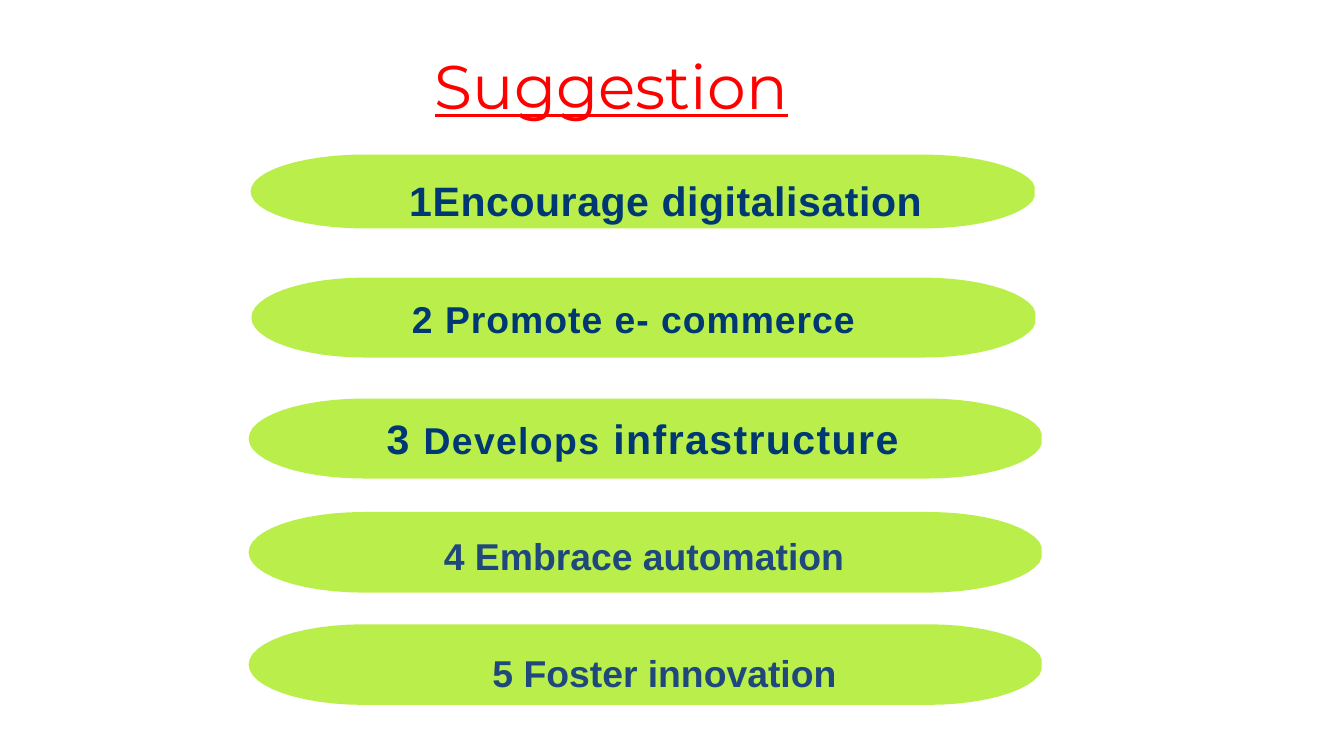
import math
from pptx import Presentation
from pptx.dml.color import RGBColor
from pptx.enum.text import MSO_ANCHOR, MSO_AUTO_SIZE, PP_ALIGN
from pptx.util import Pt

LEFT, CENTER = PP_ALIGN.LEFT, PP_ALIGN.CENTER
TOP = MSO_ANCHOR.TOP
GROW = MSO_AUTO_SIZE.SHAPE_TO_FIT_TEXT
GREEN, NAVY, BLUE, RED = "BAEF4B", "003873", "1F497D", "FF0000"
END_RATIO = 0.145
OVERHANG = 1.8
STEPS = 24


def color(target, value):
    target.rgb = RGBColor.from_string(value)


def write(box, runs, align=CENTER, font="Arial", ink=NAVY, bold=True,
          underline=None, spacing=0, margins=(0, 12.6, 0, 0)):
    frame = box.text_frame
    frame.word_wrap = True
    frame.auto_size = GROW
    frame.vertical_anchor = TOP
    frame.margin_left, frame.margin_top, frame.margin_right, frame.margin_bottom = map(Pt, margins)
    line = frame.paragraphs[0]
    line.alignment = align
    for text, size in runs:
        run = line.add_run()
        run.text = text
        run.font.name = font
        run.font.size = Pt(size)
        run.font.bold = bold
        run.font.underline = underline
        color(run.font.color, ink)
        if spacing:
            run.font._element.set("spc", str(round(spacing * 100)))


deck = Presentation()
deck.slide_width, deck.slide_height = Pt(1440), Pt(810)
slide = deck.slides.add_slide(deck.slide_layouts[5])

bars = [
    (268.5, 165.6, 840, 79.2),
    (269.3, 297.4, 840, 85.7),
    (266.4, 427, 849.6, 85.7),
    (266.4, 548.6, 849.6, 86.4),
    (266.4, 668.9, 849.6, 86.4),
]
for left, top, width, height in bars:
    radius = width * END_RATIO
    right = left + width
    middle = top + height / 2
    outline = []
    for center, start in ((right + OVERHANG - radius, -90), (left + radius, 90)):
        for step in range(STEPS + 1):
            angle = math.radians(start + 180 * step / STEPS)
            x = min(center + radius * math.cos(angle), right)
            outline.append((Pt(x), Pt(middle + height / 2 * math.sin(angle))))
    builder = slide.shapes.build_freeform(*outline[0])
    builder.add_line_segments(outline[1:], close=True)
    bar = builder.convert_to_shape()
    bar.shadow.inherit = False
    bar.fill.solid()
    color(bar.fill.fore_color, GREEN)
    bar.line.fill.background()

title = slide.shapes.title
title.left, title.top, title.width, title.height = Pt(465.8), Pt(49), Pt(438.5), Pt(80.6)
write(title, [("Suggestion", 66)], align=LEFT, font="Montserrat", ink=RED,
      bold=False, underline=True, margins=(0, 2, 0, 0))

plain = {"ink": BLUE, "margins": (7.2, 3.6, 7.2, 3.6)}
suggestions = [
    ((416.9, 175, 606.2, 59.8), [("1Encourage digitalisation ", 44)], {"spacing": 0.6}),
    ((331.2, 304.6, 707.8, 54.7), [("2 Promote e- commerce ", 40)], {"spacing": 1.1}),
    ((377.3, 430.6, 622.8, 59.8),
     [("3 ", 44), ("Develops", 40), (" infrastructure", 44)], {"spacing": 1.5}),
    ((387.3, 567.4, 616.3, 55.4), [("4 Embrace automation ", 40)], plain),
    ((396, 692.6, 643, 55.4), [("5 Foster innovation ", 40)], plain),
]
for place, runs, style in suggestions:
    write(slide.shapes.add_textbox(*map(Pt, place)), runs, **style)

deck.save("out.pptx")
